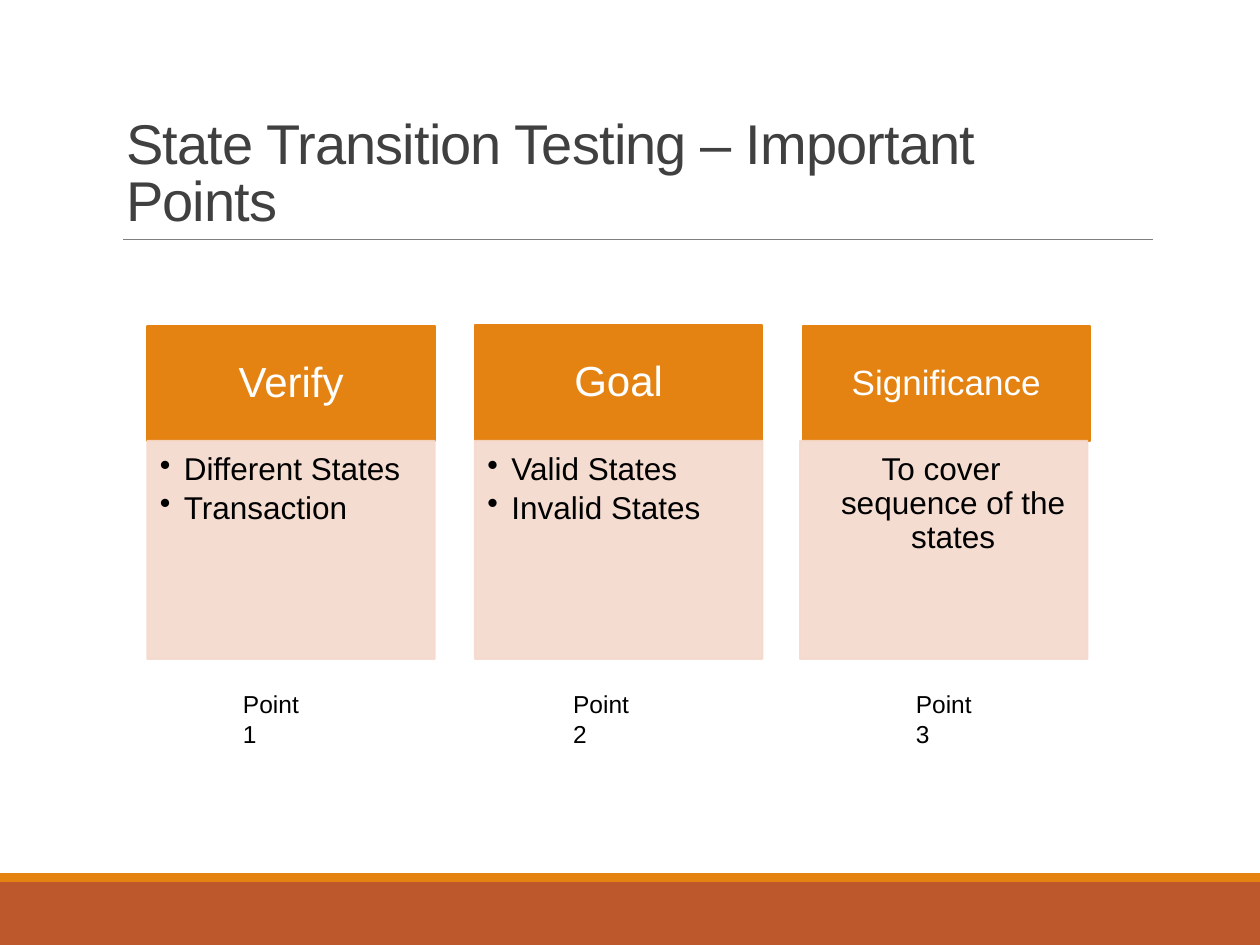
"""Builds the slide on the important points of state transition testing."""
import pptx
import pptx.dml.color
import pptx.enum.shapes
import pptx.enum.text
import pptx.oxml.ns
import pptx.util
from lxml import etree
from pptx.util import Inches, Pt

ALIGN = pptx.enum.text.PP_ALIGN
ANCHOR = pptx.enum.text.MSO_ANCHOR


def rgb(value):
    return pptx.dml.color.RGBColor.from_string(value)


class Deck:
    font = "Arial"
    orange, rust, peach = "E48312", "BD582C", "F5D9CC"
    white, black, dark, gray = "FFFFFF", "000000", "404040", "808080"

    def __init__(self, s):
        self.s = s

    def frame(self, sp, anchor, insets):
        tf = sp.text_frame
        tf.word_wrap = True
        tf.auto_size = pptx.enum.text.MSO_AUTO_SIZE.NONE
        tf.vertical_anchor = anchor
        tf.margin_left, tf.margin_top, tf.margin_right, tf.margin_bottom = map(Inches, insets)
        return tf

    def run(self, p, text, size, color):
        r = p.add_run()
        r.text = text
        r.font.name, r.font.size = self.font, Pt(size)
        r.font.color.rgb = rgb(color)
        return r

    def title(self, text, x, y, w, h):
        sp = self.s.shapes.title
        sp.left, sp.top, sp.width, sp.height = map(Inches, (x, y, w, h))
        p = self.frame(sp, ANCHOR.BOTTOM, (0.1, 0.05, 0.1, 0.05)).paragraphs[0]
        p.alignment, p.line_spacing = ALIGN.LEFT, 0.85
        r = self.run(p, text, 32, self.dark)
        r.font._element.set("spc", "-50")

    def rect(self, x, y, w, h, fill, alpha=None, outlined=False):
        sp = self.s.shapes.add_shape(pptx.enum.shapes.MSO_SHAPE.RECTANGLE, *map(Inches, (x, y, w, h)))
        sp.shadow.inherit = False
        sp.fill.solid()
        sp.fill.fore_color.rgb = rgb(fill)
        if outlined:
            sp.line.color.rgb, sp.line.width = rgb(fill), Pt(1.25)
        else:
            sp.line.fill.background()
        if alpha:
            for clr in sp._element.spPr.iter(pptx.oxml.ns.qn("a:srgbClr")):
                etree.SubElement(clr, pptx.oxml.ns.qn("a:alpha"), val=str(alpha * 1000))
        return sp

    def rule(self, x1, x2, y):
        line = self.s.shapes.add_connector(
            pptx.enum.shapes.MSO_CONNECTOR.STRAIGHT, *map(Inches, (x1, y, x2, y)))
        line.line.color.rgb, line.line.width = rgb(self.gray), Pt(0.5)
        etree.SubElement(line._element.spPr, pptx.oxml.ns.qn("a:effectLst"))

    def header(self, text, x, y, w, h, size):
        sp = self.rect(x, y, w, h, self.orange, outlined=True)
        side, edge = size * 0.008, size * 0.0045
        p = self.frame(sp, ANCHOR.MIDDLE, (side, edge, side, edge)).paragraphs[0]
        p.alignment, p.line_spacing = ALIGN.CENTER, 0.9
        self.run(p, text, size, self.white)

    def body(self, lines, x, y, w, h, bulleted):
        sp = self.rect(x, y, w, h, self.peach, alpha=90, outlined=True)
        tf = self.frame(sp, ANCHOR.TOP, (0.1, 0.1, 0.14, 0.16))
        for i, text in enumerate(lines):
            p = tf.add_paragraph() if i else tf.paragraphs[0]
            p.level, p.line_spacing, p.space_after = 1, 0.9, Pt(2.7)
            p.alignment = ALIGN.LEFT if bulleted else ALIGN.CENTER
            pPr = p._p.get_or_add_pPr()
            pPr.set("marL", str(Inches(0.19)))
            pPr.set("indent", str(-Inches(0.19)))
            if bulleted:
                etree.SubElement(pPr, pptx.oxml.ns.qn("a:buChar"), char="•")
            self.run(p, text, 18, self.black)

    def label(self, text, x, y, w, h):
        sp = self.s.shapes.add_textbox(*map(Inches, (x, y, w, h)))
        tf = self.frame(sp, ANCHOR.TOP, (0.1, 0.05, 0.1, 0.05))
        self.run(tf.paragraphs[0], text, 14, self.black)


def main():
    prs = pptx.Presentation()
    prs.slide_width, prs.slide_height = Inches(10), Inches(7.5)
    deck = Deck(prs.slides.add_slide(prs.slide_layouts[5]))
    deck.rect(0, 7, 10, 0.5, deck.rust)
    deck.rect(0, 6.93, 10, 0.07, deck.orange)
    deck.rule(0.98, 9.15, 1.9)
    deck.title("State Transition Testing – Important Points", 0.9, 0.31, 8.25, 1.59)

    columns = [
        ("Verify", 24, 1.17, 2.59, 1.17, ["Different States", "Transaction"], True, 1.83),
        ("Goal", 24, 3.77, 2.58, 3.77, ["Valid States", "Invalid States"], True, 4.45),
        ("Significance", 20, 6.37, 2.59, 6.35, ["To cover sequence of the states"], False, 7.17),
    ]
    for n, (head, size, head_x, head_y, body_x, lines, bulleted, label_x) in enumerate(columns, 1):
        deck.header(head, head_x, head_y, 2.28, 0.91, size)
        deck.body(lines, body_x, 3.5, 2.28, 1.73, bulleted)
        deck.label(f"Point {n}", label_x, 5.42, 0.75, 0.34)
    prs.save("out.pptx")


if __name__ == "__main__":
    main()
